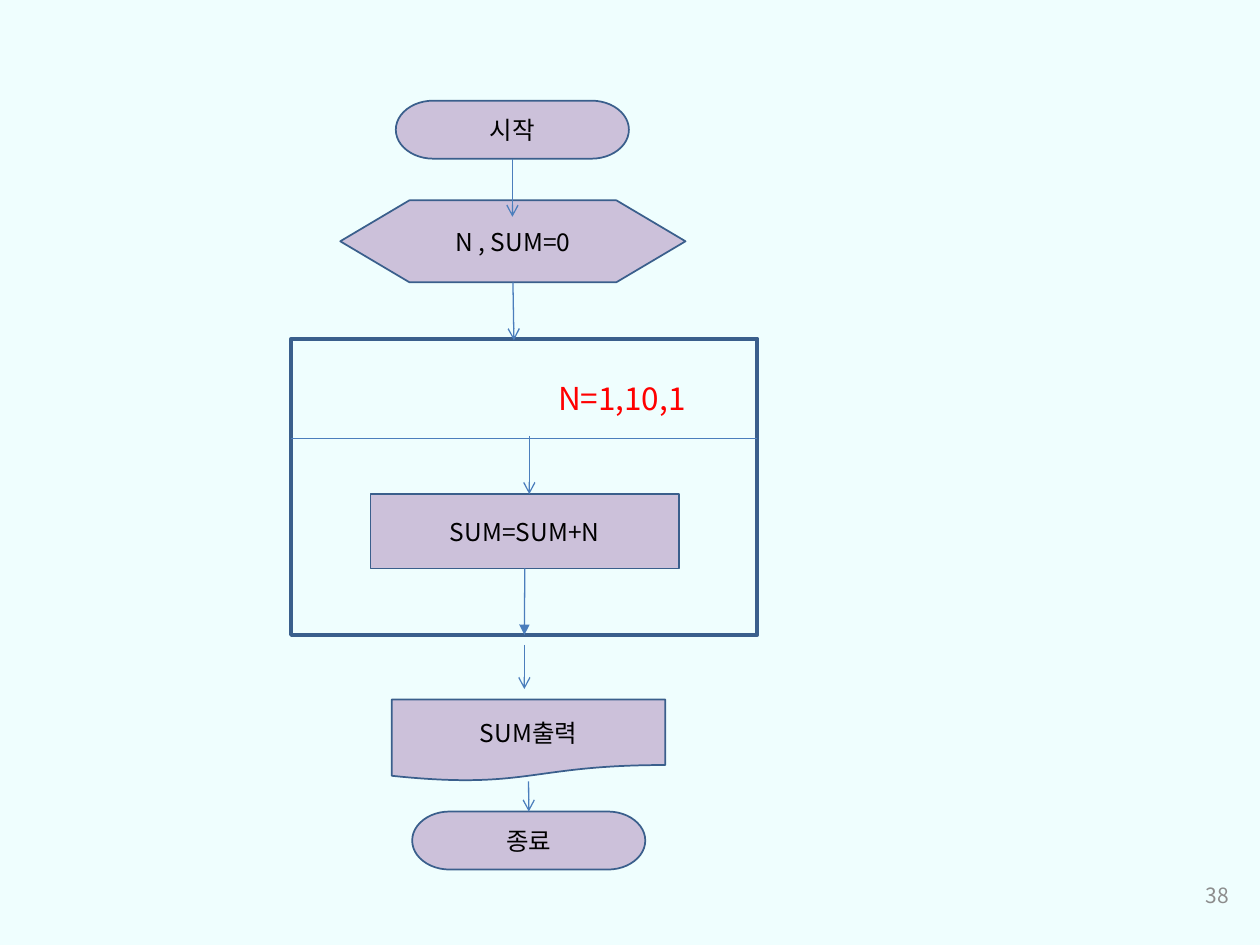
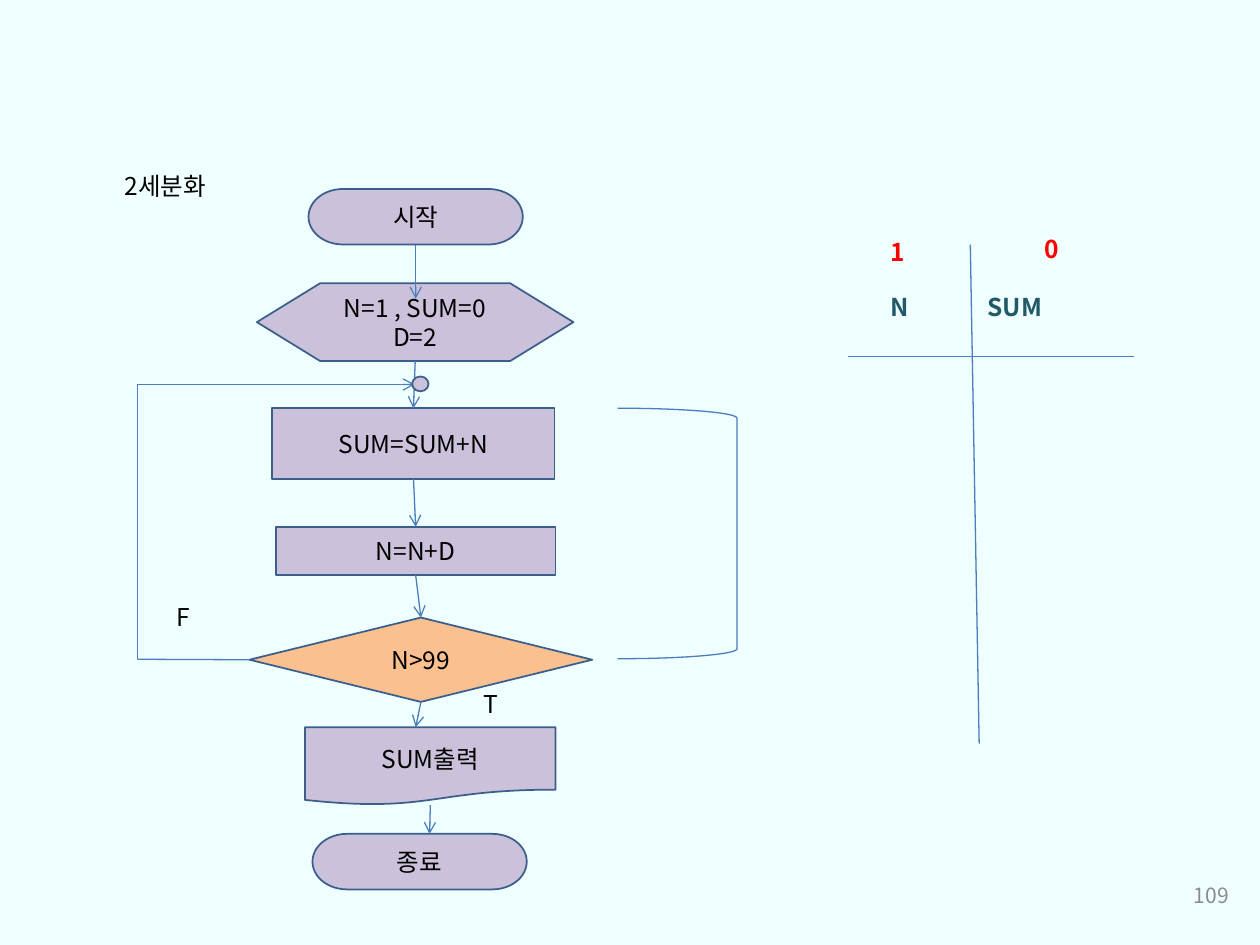
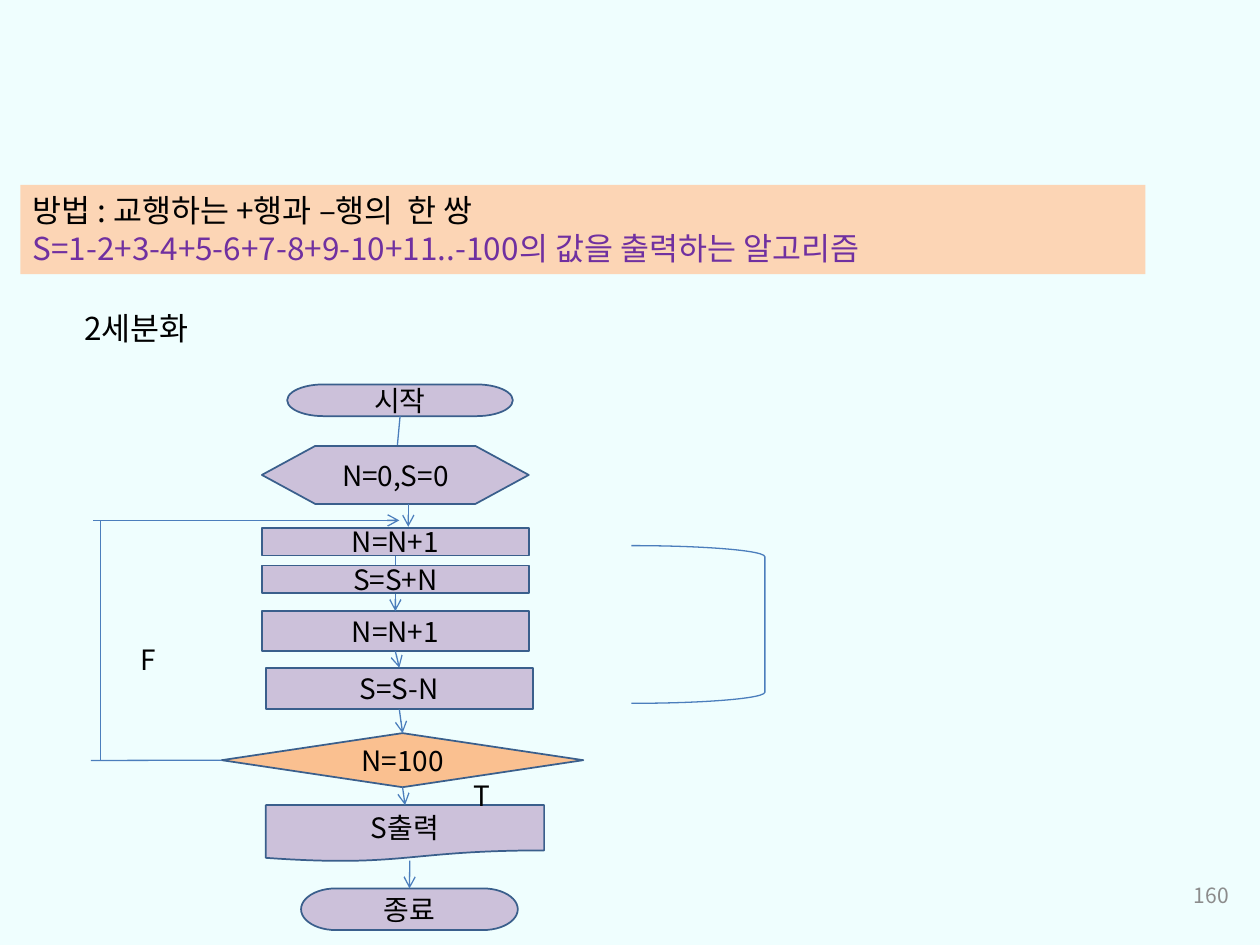
from lxml.etree import SubElement
from pptx import Presentation
from pptx.dml.color import RGBColor
from pptx.enum.shapes import MSO_CONNECTOR, MSO_SHAPE as Preset
from pptx.enum.text import MSO_ANCHOR as Anchor, PP_ALIGN as Align
from pptx.oxml.ns import qn
from pptx.util import Cm, Pt

FONT = "Noto Sans CJK KR"
COLORS = {
    "background": "EFFEFE", "step": "CCC1DA", "decision": "FAC090",
    "outline": "3A5F8C", "link": "4B7EBC", "banner": "FCD5B5",
    "text": "000000", "number": "8C8C8C", "red": "FF0000",
    "teal": "215968", "purple": "7030A0",
}
# Node kind: preset shape, fill, outline width
KINDS = {
    "terminator": (Preset.FLOWCHART_TERMINATOR, "step", 1),
    "preparation": (Preset.FLOWCHART_PREPARATION, "step", 1),
    "process": (Preset.FLOWCHART_PROCESS, "step", 1),
    "decision": (Preset.FLOWCHART_DECISION, "decision", 1),
    "document": (Preset.FLOWCHART_DOCUMENT, "step", 1),
    "junction": (Preset.FLOWCHART_CONNECTOR, "step", 1),
    "frame": (Preset.RECTANGLE, None, 2.25),
}
TOP, LEFT, BOTTOM = 0, 1, 2
NUMBER_BOX = (19.1, 17.53, 5.92, 1.02)

# Content, back to front; boxes are left, top, width, height in cm.
# A link end is a point or a (node key, side) pair.
LOOP_FRAME = [
    ("node", "start", "terminator", "시작", (7.98, 2.03, 4.7, 1.17)),
    ("node", "init", "preparation", "N , SUM=0", (6.86, 4.04, 6.96, 1.65)),
    ("link", ("start", BOTTOM), (10.33, 4.37), "arrow"),
    ("node", "loop", "frame", "", (5.87, 6.83, 9.4, 5.97)),
    ("link", (5.87, 8.84), (15.27, 8.84)),
    ("label", ["N=1,10,1"], (11, 7.52, 3.99, 1.02), {"size": 18, "colors": ["red"]}),
    ("node", "add", "process", "SUM=SUM+N", (7.47, 9.96, 6.22, 1.5)),
    ("link", ("init", BOTTOM), (10.36, 6.86), "arrow"),
    ("link", (10.67, 8.79), (10.67, 9.96), "arrow"),
    ("link", (10.57, 13), (10.57, 13.89), "arrow"),
    ("node", "print", "document", "SUM출력", (7.9, 14.1, 5.51, 1.65)),
    ("node", "end", "terminator", "종료", (8.31, 16.36, 4.7, 1.17)),
    ("link", ("print", BOTTOM), ("end", TOP), "arrow"),
    ("link", ("add", BOTTOM), ("loop", BOTTOM), "triangle"),
]
ODD_SUM = [
    ("label", ["2세분화"], (2.26, 3.33, 2.95, 1.09)),
    ("node", "start", "terminator", "시작", (6.22, 3.81, 4.32, 1.12)),
    ("node", "init", "preparation", "N=1 , SUM=0\nD=2", (5.18, 5.71, 6.38, 1.57)),
    ("node", "test", "decision", "N>99", (5.03, 12.45, 6.91, 1.7)),
    ("node", "add", "process", "SUM=SUM+N", (5.49, 8.23, 5.69, 1.42)),
    ("node", "next", "process", "N=N+D", (5.56, 10.62, 5.64, 0.97)),
    ("node", "print", "document", "SUM출력", (6.15, 14.66, 5.05, 1.57)),
    ("node", "end", "terminator", "종료", (6.3, 16.81, 4.32, 1.12)),
    ("link", ("start", BOTTOM), (8.38, 6.02), "arrow"),
    ("link", ("init", BOTTOM), ("add", TOP), "arrow"),
    ("link", ("add", BOTTOM), ("next", TOP), "arrow"),
    ("link", ("next", BOTTOM), ("test", TOP), "arrow"),
    ("link", ("test", BOTTOM), (8.38, 14.66), "arrow"),
    ("link", ("print", BOTTOM), (8.66, 16.81), "arrow"),
    # Way back to the loop start
    ("link", ("test", LEFT), (2.77, 13.29)),
    ("link", (2.77, 13.29), (2.77, 7.75)),
    ("link", (2.77, 7.75), (8.36, 7.75), "arrow"),
    ("node", "merge", "junction", "", (8.31, 7.59, 0.33, 0.3)),
    ("label", ["F"], (3.3, 12.01, 1.73, 1.09)),
    ("label", ["T"], (9.5, 13.77, 1.73, 1.09)),
    ("bracket", (12.45, 8.23, 2.41, 5.05)),
    # Trace of the variables
    ("label", ["N\tSUM"], (17.7, 5.77, 5.16, 1.07),
     {"colors": ["teal"], "bold": True, "tab": 1.96}),
    ("link", (17.09, 7.19), (22.86, 7.19)),
    ("link", (19.56, 4.93), (19.74, 14.99)),
    ("label", ["1"], (17.7, 4.65, 2.06, 0.81), {"colors": ["red"], "bold": True}),
    ("label", ["0"], (20.8, 4.6, 2.06, 0.81), {"colors": ["red"], "bold": True}),
]
ALTERNATING_SUM = [
    ("label", ["2세분화"], (1.45, 6.1, 3.84, 1.02), {"size": 18}),
    ("node", "start", "terminator", "시작", (5.79, 7.75, 4.55, 0.64)),
    ("link", ("start", BOTTOM), (7.95, 9.63), "arrow"),
    ("node", "init", "preparation", "N=0,S=0", (5.28, 8.99, 5.38, 1.17)),
    ("link", (8.23, 10.16), (8.23, 10.62), "arrow"),
    ("node", "odd", "process", "N=N+1", (5.28, 10.64, 5.38, 0.56)),
    ("node", "even", "process", "N=N+1", (5.28, 12.32, 5.38, 0.81)),
    ("link", ("odd", BOTTOM), ("even", TOP), "arrow"),
    ("node", "add", "process", "S=S+N", (5.28, 11.4, 5.38, 0.56)),
    ("node", "subtract", "process", "S=S-N", (5.36, 13.46, 5.38, 0.84)),
    ("node", "test", "decision", "N=100", (4.47, 14.78, 7.29, 1.09)),
    ("node", "print", "document", "S출력", (5.36, 16.23, 5.61, 1.14)),
    ("node", "end", "terminator", "종료", (6.07, 17.91, 4.37, 0.84)),
    ("link", ("even", BOTTOM), ("subtract", TOP), "arrow"),
    ("link", ("subtract", BOTTOM), ("test", TOP), "arrow"),
    ("link", ("test", BOTTOM), ("print", TOP), "arrow"),
    ("link", (8.26, 17.35), ("end", TOP), "arrow"),
    # Way back to the loop start
    ("link", ("test", LEFT), (1.83, 15.33)),
    ("link", (2.03, 15.33), (2.03, 10.49)),
    ("link", (1.88, 10.49), (8.05, 10.49), "arrow"),
    ("label", ["F"], (2.59, 12.83, 1.91, 0.94)),
    ("label", ["T"], (9.3, 15.57, 1.91, 0.94)),
    ("bracket", (12.73, 11, 2.69, 3.18)),
    ("label", ["방법 : 교행하는 +행과 –행의  한 쌍",
               "S=1-2+3-4+5-6+7-8+9-10+11..-100의 값을 출력하는 알고리즘"],
     (0.41, 3.73, 22.68, 1.8),
     {"size": 18, "colors": ["text", "purple"], "fill": "banner"}),
]
# Page number, text size, items
SLIDES = [(38, 14, LOOP_FRAME), (109, 14, ODD_SUM), (160, 16, ALTERNATING_SUM)]


def color(name):
    return RGBColor.from_string(COLORS[name])


def lengths(values):
    return [Cm(value) for value in values]


def write(shape, lines, size, colors=("text",), bold=None, align=Align.LEFT,
          anchor=Anchor.TOP, tab=None):
    frame = shape.text_frame
    for name, value in {"word_wrap": True, "vertical_anchor": anchor}.items():
        setattr(frame, name, value)
    for index, line in enumerate(lines):
        paragraph = frame.add_paragraph() if index else frame.paragraphs[0]
        paragraph.alignment = align
        if tab:
            stops = SubElement(paragraph._p.get_or_add_pPr(), qn("a:tabLst"))
            SubElement(stops, qn("a:tab"), pos=str(Cm(tab)), algn="l")
        run = paragraph.add_run()
        run.text = line
        for name, value in {"name": FONT, "size": Pt(size), "bold": bold}.items():
            setattr(run.font, name, value)
        run.font.color.rgb = color(colors[min(index, len(colors) - 1)])
        SubElement(run._r.get_or_add_rPr(), qn("a:ea"), typeface=FONT)


def paint(shape, fill, line, width):
    shape.shadow.inherit = False
    if fill:
        shape.fill.solid()
        shape.fill.fore_color.rgb = color(fill)
    else:
        shape.fill.background()
    shape.line.color.rgb = color(line)
    shape.line.width = Pt(width)


def add_node(slide, nodes, size, key, kind, text, box):
    preset, fill, width = KINDS[kind]
    nodes[key] = shape = slide.shapes.add_shape(preset, *lengths(box))
    paint(shape, fill, "outline", width)
    if text:
        write(shape, text.split("\n"), size, align=Align.CENTER, anchor=Anchor.MIDDLE)


def add_label(slide, nodes, size, lines, box, style=None):
    style = {"size": size, **(style or {})}
    fill = style.pop("fill", None)
    shape = slide.shapes.add_textbox(*lengths(box))
    if fill:
        shape.fill.solid()
        shape.fill.fore_color.rgb = color(fill)
    write(shape, lines, **style)


def add_bracket(slide, nodes, size, box):
    paint(slide.shapes.add_shape(Preset.RIGHT_BRACKET, *lengths(box)), None, "link", 0.75)


def add_link(slide, nodes, size, start, end, head=None):
    points = [(0, 0) if spot[0] in nodes else spot for spot in (start, end)]
    connector = slide.shapes.add_connector(
        MSO_CONNECTOR.STRAIGHT, *lengths(points[0] + points[1]))
    for spot, join in ((start, connector.begin_connect), (end, connector.end_connect)):
        if spot[0] in nodes:
            join(nodes[spot[0]], spot[1])
    connector.line.color.rgb = color("link")
    connector.line.width = Pt(0.75)
    properties = connector._element.spPr
    if head:
        SubElement(properties.find(qn("a:ln")), qn("a:tailEnd"), type=head)
    SubElement(properties, qn("a:effectLst"))


BUILDERS = {"node": add_node, "label": add_label, "bracket": add_bracket, "link": add_link}


def main():
    presentation = Presentation()
    presentation.slide_width, presentation.slide_height = Cm(25.4), Cm(19.05)
    for number, size, items in SLIDES:
        slide = presentation.slides.add_slide(presentation.slide_layouts[6])
        slide.background.fill.solid()
        slide.background.fill.fore_color.rgb = color("background")
        nodes = {}
        for kind, *parts in items:
            BUILDERS[kind](slide, nodes, size, *parts)
        # Page number
        add_label(slide, nodes, 12, [str(number)], NUMBER_BOX,
                  {"colors": ["number"], "align": Align.RIGHT, "anchor": Anchor.MIDDLE})
    presentation.save("out.pptx")


if __name__ == "__main__":
    main()
